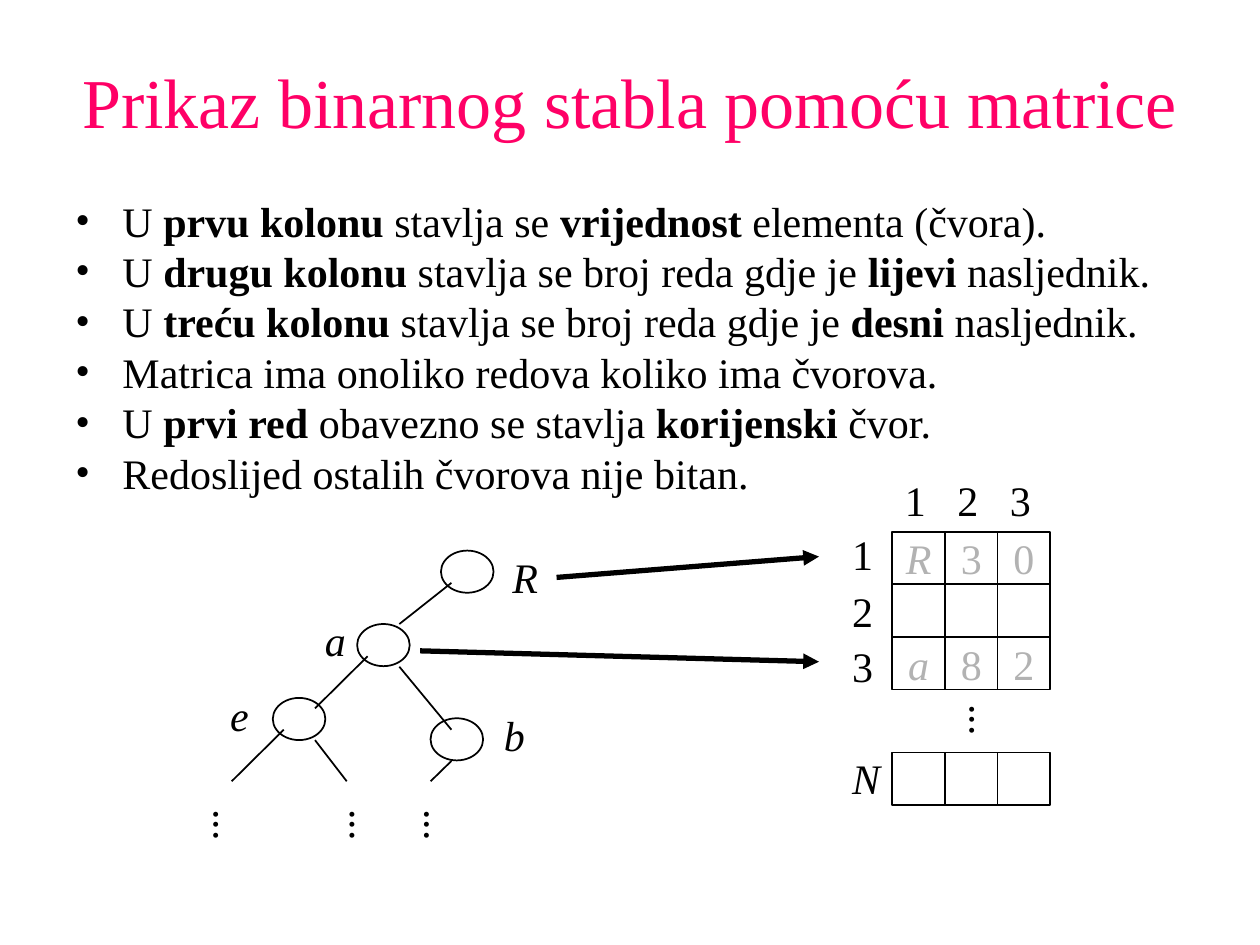
from lxml import etree
from pptx import Presentation
from pptx.dml.color import RGBColor
from pptx.enum.shapes import MSO_CONNECTOR, MSO_SHAPE
from pptx.enum.text import MSO_ANCHOR, PP_ALIGN
from pptx.oxml.ns import qn
from pptx.util import Cm, Pt

STRAIGHT = MSO_CONNECTOR.STRAIGHT
RECTANGLE, OVAL = MSO_SHAPE.RECTANGLE, MSO_SHAPE.OVAL
MIDDLE = MSO_ANCHOR.MIDDLE
CENTER = PP_ALIGN.CENTER
COLORS = {"title": "FF0066", "ink": "000000", "value": "B2B2B2", "node": "FFFFFF"}


def add_span(para, text, color="ink", size=24, bold=False, italic=False):
    span = para.add_run()
    span.text = text
    span.font.name = "Times New Roman"
    span.font.size = Pt(size)
    span.font.bold = bold
    span.font.italic = italic
    span.font.color.rgb = RGBColor.from_string(COLORS[color])


def add_box(left, top, width, height):
    box = page.shapes.add_textbox(Cm(left), Cm(top), Cm(width), Cm(height))
    box.text_frame.word_wrap = True
    box.text_frame.margin_right = 0
    return box


deck = Presentation()
deck.slide_width, deck.slide_height = Cm(25.4), Cm(19.05)
page = deck.slides.add_slide(deck.slide_layouts[6])

title = add_box(0.85, 1.06, 23.7, 1.95)
title.text_frame.margin_left = 0
title_para = title.text_frame.paragraphs[0]
title_para.alignment = CENTER
add_span(title_para, "Prikaz binarnog stabla pomoću matrice", "title", 40)

rules = [
    ["U ", "prvu kolonu", " stavlja se ", "vrijednost", " elementa (čvora)."],
    ["U ", "drugu kolonu", " stavlja se broj reda gdje je ", "lijevi", " nasljednik."],
    ["U ", "treću kolonu", " stavlja se broj reda gdje je ", "desni", " nasljednik."],
    ["Matrica ima onoliko redova koliko ima čvorova."],
    ["U ", "prvi red", " obavezno se stavlja ", "korijenski", " čvor."],
    ["Redoslijed ostalih čvorova nije bitan."],
]
rules_frame = add_box(1.27, 3.81, 23.28, 6.35).text_frame
for number, parts in enumerate(rules):
    para = rules_frame.add_paragraph() if number else rules_frame.paragraphs[0]
    para.line_spacing = Pt(28.8)
    properties = para._p.get_or_add_pPr()
    properties.set("marL", str(Cm(0.95)))
    properties.set("indent", str(-Cm(0.95)))
    etree.SubElement(properties, qn("a:buFont"), typeface="Times New Roman")
    etree.SubElement(properties, qn("a:buChar"), char="•")
    for index, part in enumerate(parts):
        add_span(para, part, bold=index % 2 == 1)

cell_size, matrix_left = 1.06, 17.99
matrix = [(10.72, "R30"), (11.78, ""), (12.84, "a82"), (15.17, "")]
for top, values in matrix:
    for column in range(3):
        left = matrix_left + column * cell_size
        cell = page.shapes.add_shape(RECTANGLE, Cm(left), Cm(top), Cm(cell_size), Cm(cell_size))
        cell.shadow.inherit = False
        cell.fill.background()
        cell.line.color.rgb = RGBColor.from_string(COLORS["ink"])
        cell.line.width = Pt(1)
        if values:
            frame = cell.text_frame
            frame.margin_left = frame.margin_right = 0
            frame.margin_top = frame.margin_bottom = 0
            frame.vertical_anchor = MIDDLE
            para = frame.paragraphs[0]
            para.alignment = CENTER
            add_span(para, values[column], "value", italic=values[column].isalpha())

labels = [(matrix_left + column * cell_size, 9.45, str(column + 1)) for column in range(3)]
labels += [(16.93, 10.52, "1"), (16.93, 11.68, "2"), (16.93, 12.78, "3"), (16.93, 15.04, "N")]
labels += [(10.08, 11.0, "R"), (6.3, 12.27, "a"), (4.39, 13.77, "e"), (9.91, 14.17, "b")]
for left, top, text in labels:
    label = add_box(left, top, 1.1, 1.27)
    add_span(label.text_frame.paragraphs[0], text, italic=text.isalpha())

for left, top in [(19.25, 13.97), (4.01, 16.08), (6.76, 16.08), (8.26, 16.08)]:
    dots = add_box(left, top, 1.27, 1.27)
    dots.rotation = 90
    add_span(dots.text_frame.paragraphs[0], "...", italic=True)

for left, top in [(8.89, 11.1), (8.68, 14.48), (5.5, 14.07), (7.2, 12.58)]:
    node = page.shapes.add_shape(OVAL, Cm(left), Cm(top), Cm(1.06), Cm(0.85))
    node.shadow.inherit = False
    node.fill.solid()
    node.fill.fore_color.rgb = RGBColor.from_string(COLORS["node"])
    node.line.color.rgb = RGBColor.from_string(COLORS["ink"])
    node.line.width = Pt(1)

branches = [
    (9.1, 11.75, 8.05, 12.58),
    (7.41, 13.23, 6.35, 14.28),
    (5.72, 14.71, 4.67, 15.75),
    (8.05, 13.44, 9.1, 14.71),
    (9.1, 15.34, 8.68, 15.75),
    (6.35, 14.92, 6.99, 15.75),
]
arrows = [(11.22, 11.64, 16.51, 11.22), (8.47, 13.12, 16.51, 13.34)]
for ends in branches + arrows:
    link = page.shapes.add_connector(STRAIGHT, *[Cm(value) for value in ends])
    link.line.color.rgb = RGBColor.from_string(COLORS["ink"])
    link.line.width = Pt(3 if ends in arrows else 1)
    if ends in arrows:
        etree.SubElement(link.line._get_or_add_ln(), qn("a:tailEnd"), type="triangle")
    etree.SubElement(link._element.spPr, qn("a:effectLst"))

deck.save("out.pptx")
